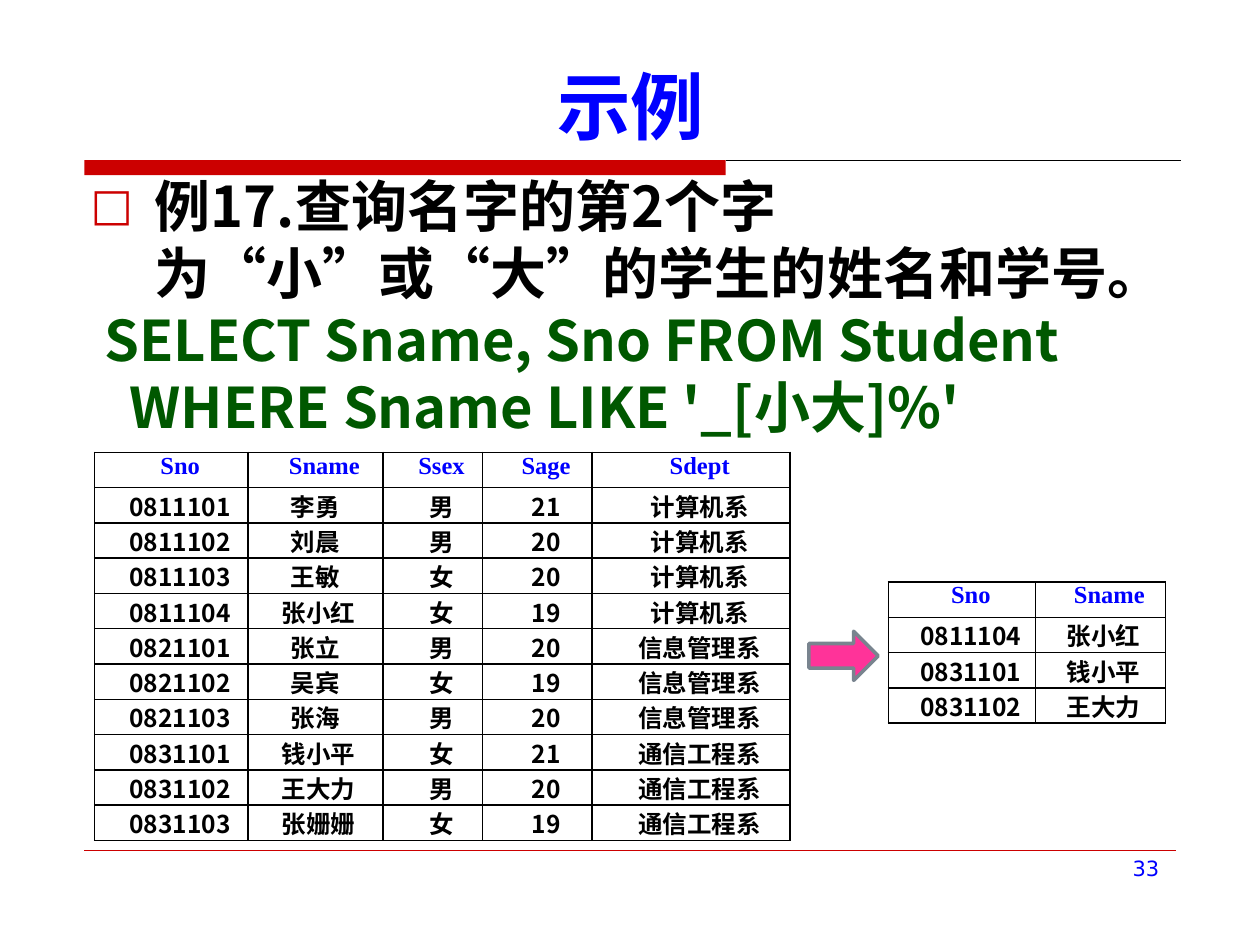
from lxml.etree import SubElement
from pptx import Presentation
from pptx.dml.color import RGBColor
from pptx.enum.shapes import MSO_CONNECTOR, MSO_SHAPE
from pptx.enum.text import MSO_ANCHOR, PP_ALIGN
from pptx.oxml.ns import qn
from pptx.util import Inches, Pt

BLUE = RGBColor(0x00, 0x00, 0xFF)
BLACK = RGBColor(0x00, 0x00, 0x00)
GREEN = RGBColor(0x00, 0x58, 0x00)
RED = RGBColor(0xCC, 0x00, 0x00)
PINK = RGBColor(0xFF, 0x33, 0x99)
GRAY = RGBColor(0x79, 0x84, 0x8F)
CJK_FONT = "Noto Sans CJK SC"
SERIF_FONT = "Times New Roman"
NUMBER_FONT = "DejaVu Sans"

TITLE = "示例"
BODY = [
    ("例17.查询名字的第2个字为“小”或“大”的学生的姓名和学号。", BLACK, 0.51, -0.51, "□"),
    ("SELECT Sname, Sno FROM Student", GREEN, 0.11, 0, None),
    ("WHERE Sname LIKE '_[小大]%'", GREEN, 0.31, 0, None),
]
PAGE_NUMBER = "33"
STUDENTS = [
    ("Sno", "Sname", "Ssex", "Sage", "Sdept"),
    ("0811101", "李勇", "男", "21", "计算机系"),
    ("0811102", "刘晨", "男", "20", "计算机系"),
    ("0811103", "王敏", "女", "20", "计算机系"),
    ("0811104", "张小红", "女", "19", "计算机系"),
    ("0821101", "张立", "男", "20", "信息管理系"),
    ("0821102", "吴宾", "女", "19", "信息管理系"),
    ("0821103", "张海", "男", "20", "信息管理系"),
    ("0831101", "钱小平", "女", "21", "通信工程系"),
    ("0831102", "王大力", "男", "20", "通信工程系"),
    ("0831103", "张姗姗", "女", "19", "通信工程系"),
]
MATCHES = [
    ("Sno", "Sname"),
    ("0811104", "张小红"),
    ("0831101", "钱小平"),
    ("0831102", "王大力"),
]
ROW_HEIGHT = 0.28
CELL_INDENT = 0.14
NAME_INDENTS = {2: 0, 3: 0.05}


def style(paragraph, size, color, font_name, bold=True, align=PP_ALIGN.LEFT):
    paragraph.alignment = align
    font = paragraph.font
    font.size, font.bold, font.name = Pt(size), bold, font_name
    font.color.rgb = color
    properties = paragraph._p.pPr.find(qn("a:defRPr"))
    SubElement(properties, qn("a:ea"), typeface=CJK_FONT)


def indent(paragraph, margin, first_line):
    properties = paragraph._p.get_or_add_pPr()
    properties.set("marL", str(Inches(margin)))
    properties.set("indent", str(Inches(first_line)))
    return properties


def add_bullet(properties, character):
    color = SubElement(properties, qn("a:buClr"))
    SubElement(color, qn("a:srgbClr"), val=str(RED))
    SubElement(properties, qn("a:buSzPct"), val="80000")
    SubElement(properties, qn("a:buFont"), typeface=NUMBER_FONT)
    SubElement(properties, qn("a:buChar"), char=character)


def add_text_box(slide, left, top, width, height, anchor=MSO_ANCHOR.TOP):
    frame = slide.shapes.add_textbox(
        Inches(left), Inches(top), Inches(width), Inches(height)).text_frame
    frame.word_wrap = True
    frame.vertical_anchor = anchor
    return frame


def add_rule(slide, left, right, top, width, color):
    rule = slide.shapes.add_connector(
        MSO_CONNECTOR.STRAIGHT, Inches(left), Inches(top), Inches(right), Inches(top))
    rule.line.color.rgb = color
    rule.line.width = Pt(width)
    SubElement(rule._element.spPr, qn("a:effectLst"))


def add_shape(slide, kind, left, top, width, height, color):
    shape = slide.shapes.add_shape(
        kind, Inches(left), Inches(top), Inches(width), Inches(height))
    shape.shadow.inherit = False
    shape.fill.solid()
    shape.fill.fore_color.rgb = color
    shape.line.fill.background()
    return shape


def add_borders(cell):
    properties = cell._tc.get_or_add_tcPr()
    for position, side in enumerate(("lnL", "lnR", "lnT", "lnB")):
        line = properties.makeelement(qn(f"a:{side}"), {"w": str(Pt(1))})
        fill = SubElement(line, qn("a:solidFill"))
        SubElement(fill, qn("a:srgbClr"), val=str(BLACK))
        properties.insert(position, line)


def add_data_table(slide, rows, left, top, column_widths):
    table = slide.shapes.add_table(
        len(rows), len(column_widths), Inches(left), Inches(top),
        Inches(sum(column_widths)), Inches(ROW_HEIGHT * len(rows))).table
    for column, width in zip(table.columns, column_widths):
        column.width = Inches(width)
    for row_index, values in enumerate(rows):
        table.rows[row_index].height = Inches(ROW_HEIGHT)
        for column_index, value in enumerate(values):
            cell = table.cell(row_index, column_index)
            cell.fill.background()
            cell.margin_left = cell.margin_right = Inches(0.07)
            cell.margin_top = cell.margin_bottom = 0
            add_borders(cell)
            cell.text = value
            paragraph = cell.text_frame.paragraphs[0]
            is_header = row_index == 0
            is_name = rows[0][column_index] == "Sname" and not is_header
            indent(paragraph, 0, NAME_INDENTS[len(value)] if is_name else CELL_INDENT)
            style(paragraph, 14, BLUE if is_header else BLACK,
                  CJK_FONT if value.isdigit() else SERIF_FONT, align=PP_ALIGN.CENTER)


def main():
    presentation = Presentation()
    presentation.slide_width, presentation.slide_height = Inches(10), Inches(7.5)
    slide = presentation.slides.add_slide(presentation.slide_layouts[6])

    add_shape(slide, MSO_SHAPE.RECTANGLE, 0.67, 1.27, 5.09, 0.12, RED)
    add_rule(slide, 5.76, 9.37, 1.27, 0.25, BLACK)
    add_rule(slide, 0.67, 9.33, 6.75, 0.25, RED)

    title = add_text_box(slide, 0.63, 0.33, 8.75, 0.9, MSO_ANCHOR.BOTTOM)
    title.text = TITLE
    style(title.paragraphs[0], 42, BLUE, CJK_FONT, align=PP_ALIGN.CENTER)

    body = add_text_box(slide, 0.62, 1.31, 8.75, 2.44)
    body.text = "\n".join(text for text, *_ in BODY)
    for paragraph, (_, color, margin, first_line, bullet) in zip(body.paragraphs, BODY):
        paragraph.line_spacing = 1.0
        properties = indent(paragraph, margin, first_line)
        if bullet:
            add_bullet(properties, bullet)
        style(paragraph, 32, color, CJK_FONT)

    number = add_text_box(slide, 7.13, 6.74, 2.17, 0.52)
    number.text = PAGE_NUMBER
    style(number.paragraphs[0], 12, BLUE, NUMBER_FONT, bold=False, align=PP_ALIGN.RIGHT)

    add_data_table(slide, STUDENTS, 0.75, 3.59, (1.22, 1.07, 0.79, 0.87, 1.57))
    add_data_table(slide, MATCHES, 7.05, 4.62, (1.17, 1.03))

    arrow = add_shape(slide, MSO_SHAPE.RIGHT_ARROW, 6.42, 5.01, 0.55, 0.39, PINK)
    arrow.line.color.rgb = GRAY
    arrow.line.width = Pt(2)

    presentation.save("out.pptx")


if __name__ == "__main__":
    main()
